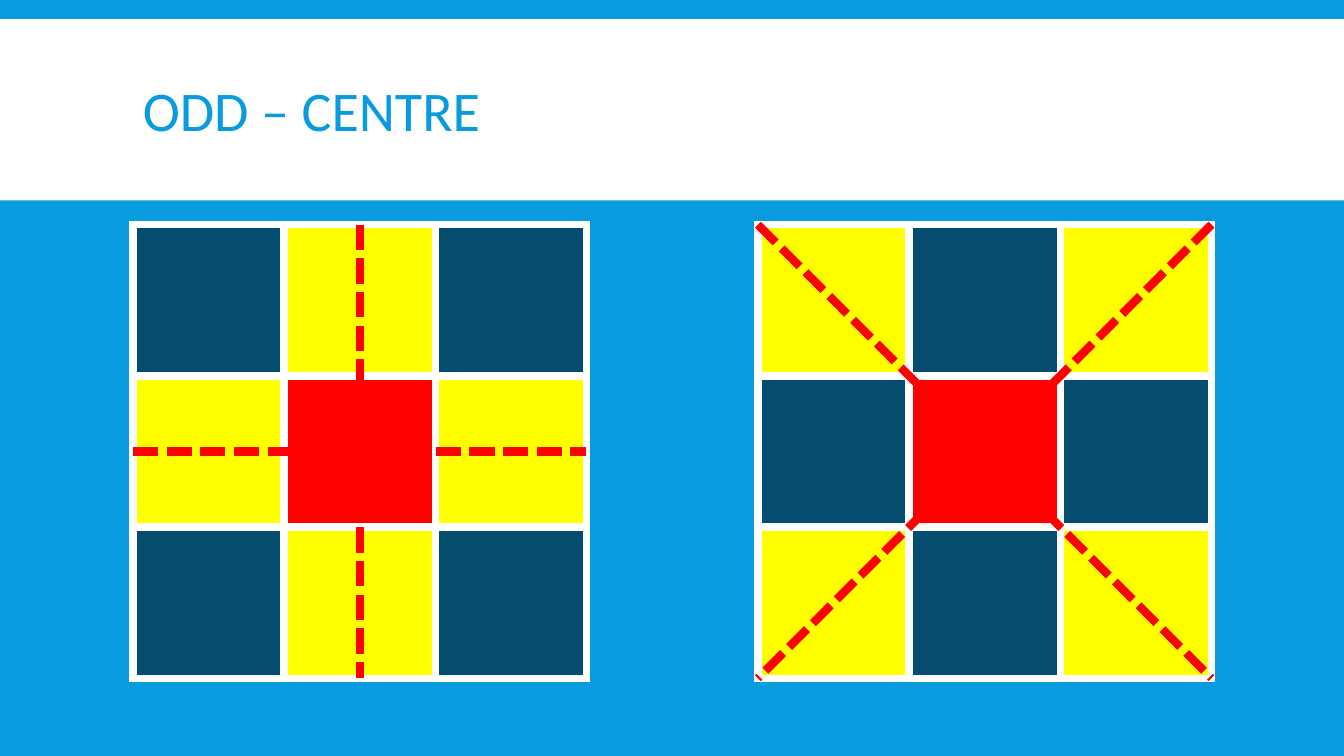
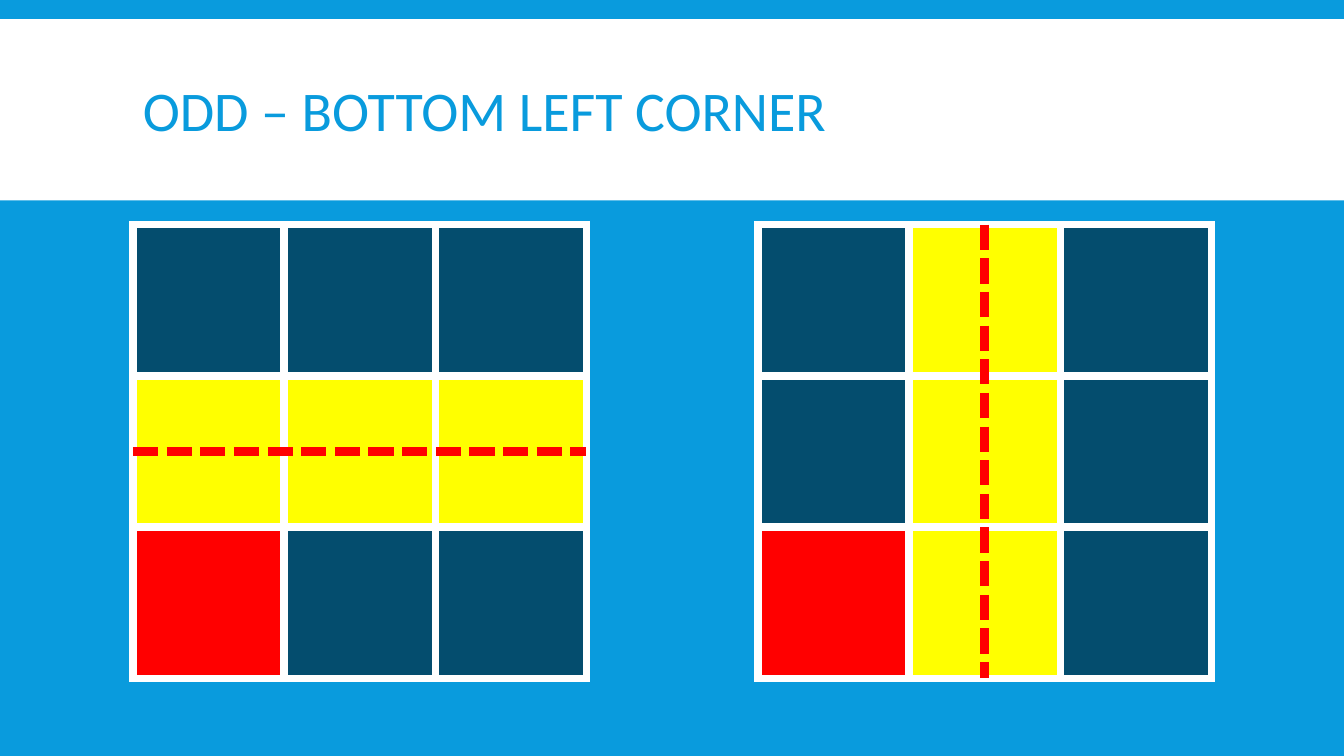
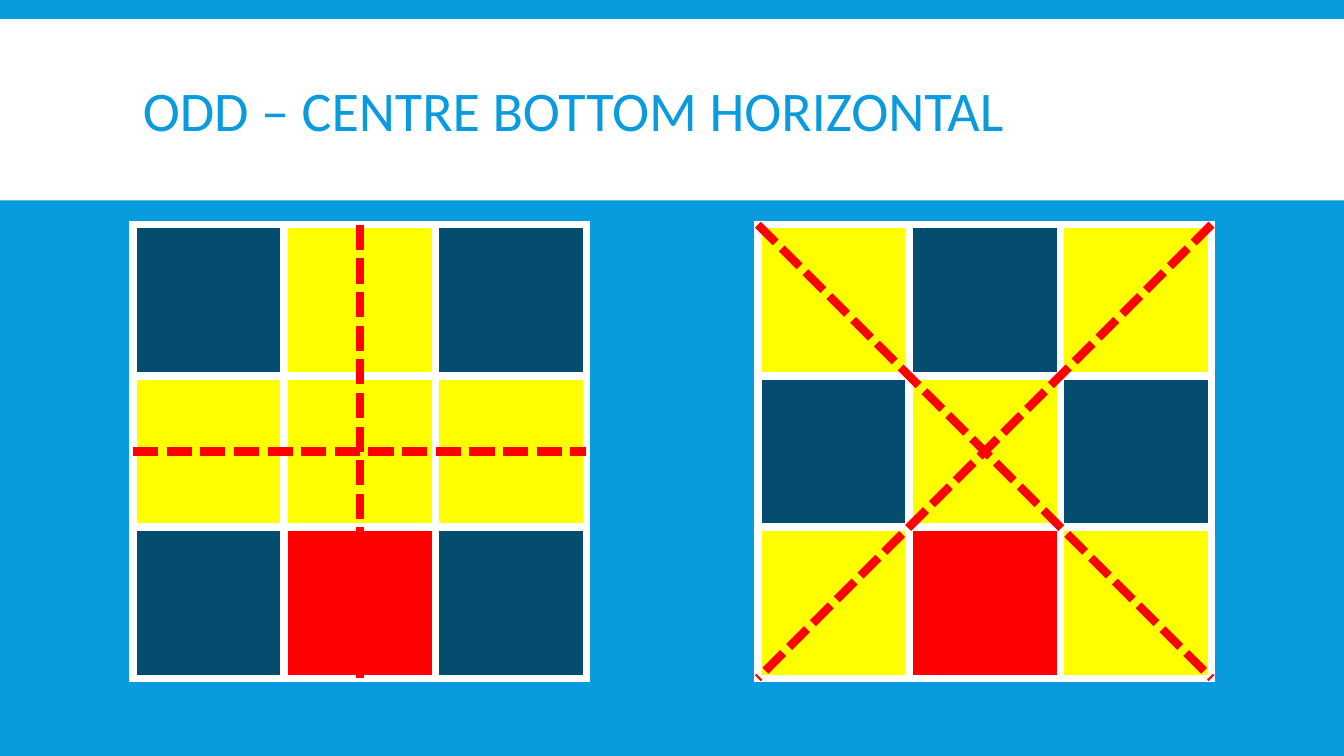
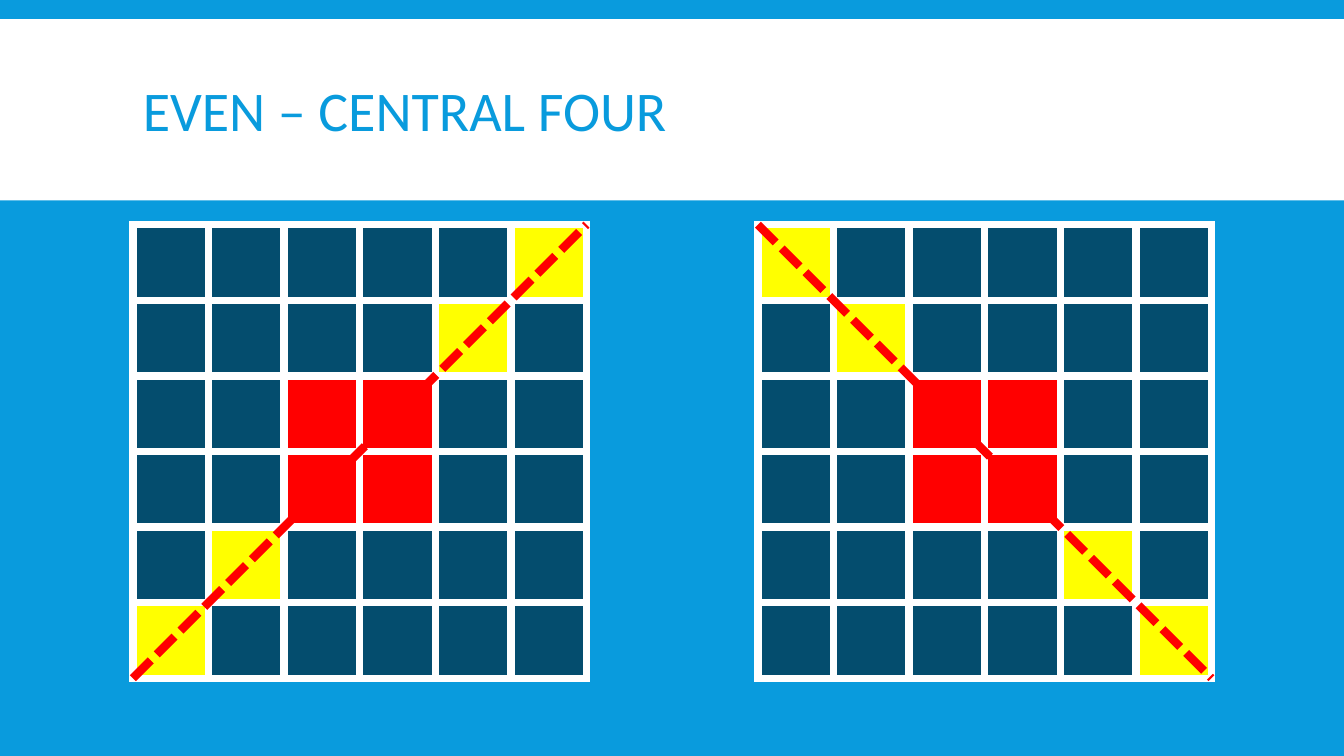
from lxml import etree
from pptx import Presentation
from pptx.dml.color import RGBColor
from pptx.enum.dml import MSO_LINE
from pptx.enum.shapes import MSO_CONNECTOR, MSO_SHAPE
from pptx.enum.text import MSO_ANCHOR
from pptx.oxml.ns import qn
from pptx.util import Cm, Pt

BLUE, WHITE, RED = "099BDD", "FFFFFF", "FF0000"
CELL_FILLS = {"B": "044D6E", "Y": "FFFF00", "R": RED}
FONT = "Calibri"

SLIDE_W, SLIDE_H = 33.87, 19.05
LEFT_X, RIGHT_X, GRID_Y, GRID_SIDE = 3.35, 19.1, 5.66, 11.43
STROKE = Pt(6)

# Start and end of each line, as fractions of the grid side
HORIZONTAL = (0, 0.5), (1, 0.5)
VERTICAL = (0.5, 0), (0.5, 1)
FALLING = (0, 0), (1, 1)
RISING = (0, 1), (1, 0)
RISING_FROM_TOP = RISING[::-1]

# Title, then rows and lines of the left grid and of the right grid
SLIDES = [
    ("ODD – CENTRE",
     ("BYB YRY BYB", [HORIZONTAL, VERTICAL]),
     ("YBY BRB YBY", [RISING_FROM_TOP, FALLING])),
    ("ODD – BOTTOM LEFT CORNER",
     ("BBB YYY RBB", [HORIZONTAL]),
     ("BYB BYB RYB", [VERTICAL])),
    ("ODD – CENTRE BOTTOM HORIZONTAL",
     ("BYB YYY BRB", [HORIZONTAL, VERTICAL]),
     ("YBY BYB YRY", [RISING_FROM_TOP, FALLING])),
    ("EVEN – CENTRAL FOUR",
     ("BBBBBY BBBBYB BBRRBB BBRRBB BYBBBB YBBBBB", [RISING]),
     ("YBBBBB BYBBBB BBRRBB BBRRBB BBBBYB BBBBBY", [FALLING])),
]


def rgb(color):
    return RGBColor.from_string(color)


def paint(fill, color):
    fill.solid()
    fill.fore_color.rgb = rgb(color)


def add_band(slide):
    sp = slide.shapes.add_shape(MSO_SHAPE.RECTANGLE, 0, Cm(0.48), Cm(SLIDE_W), Cm(4.57))
    sp.shadow.inherit = False
    paint(sp.fill, WHITE)
    sp.line.fill.background()


def add_title(slide, text):
    tf = slide.shapes.add_textbox(Cm(LEFT_X), Cm(0.79), Cm(27.18), Cm(4.19)).text_frame
    tf.word_wrap = True
    tf.vertical_anchor = MSO_ANCHOR.MIDDLE
    p = tf.paragraphs[0]
    p.line_spacing = 0.85
    r = p.add_run()
    r.text = text
    r.font.name = FONT
    r.font.size = Pt(40)
    r.font.color.rgb = rgb(BLUE)


def add_borders(cell):
    tc_pr = cell._tc.get_or_add_tcPr()
    for side in ("a:lnL", "a:lnR", "a:lnT", "a:lnB"):
        ln = etree.SubElement(tc_pr, qn(side), w=str(int(STROKE)))
        fill = etree.SubElement(ln, qn("a:solidFill"))
        etree.SubElement(fill, qn("a:srgbClr"), val=WHITE)


def add_grid(slide, x, rows):
    """Draw a square table; each letter in rows picks the fill of a cell."""
    n = len(rows)
    side = Cm(GRID_SIDE)
    table = slide.shapes.add_table(n, n, Cm(x), Cm(GRID_Y), side, side).table
    table.first_row = table.horz_banding = False
    for i, row in enumerate(rows):
        for j, letter in enumerate(row):
            cell = table.cell(i, j)
            add_borders(cell)
            paint(cell.fill, CELL_FILLS[letter])


def add_symmetry_line(slide, x, ends):
    points = [Cm(start + f * GRID_SIDE) for end in ends for start, f in zip((x, GRID_Y), end)]
    line = slide.shapes.add_connector(MSO_CONNECTOR.STRAIGHT, *points)
    line.line.color.rgb = rgb(RED)
    line.line.width = STROKE
    line.line.dash_style = MSO_LINE.SQUARE_DOT
    etree.SubElement(line._element.spPr, qn("a:effectLst"))


def main():
    prs = Presentation()
    prs.slide_width, prs.slide_height = Cm(SLIDE_W), Cm(SLIDE_H)
    paint(prs.slide_master.background.fill, BLUE)
    for title, *grids in SLIDES:
        slide = prs.slides.add_slide(prs.slide_layouts[6])
        add_band(slide)
        add_title(slide, title)
        for x, (rows, lines) in zip((LEFT_X, RIGHT_X), grids):
            add_grid(slide, x, rows.split())
            for ends in lines:
                add_symmetry_line(slide, x, ends)
    prs.save("out.pptx")


if __name__ == "__main__":
    main()
